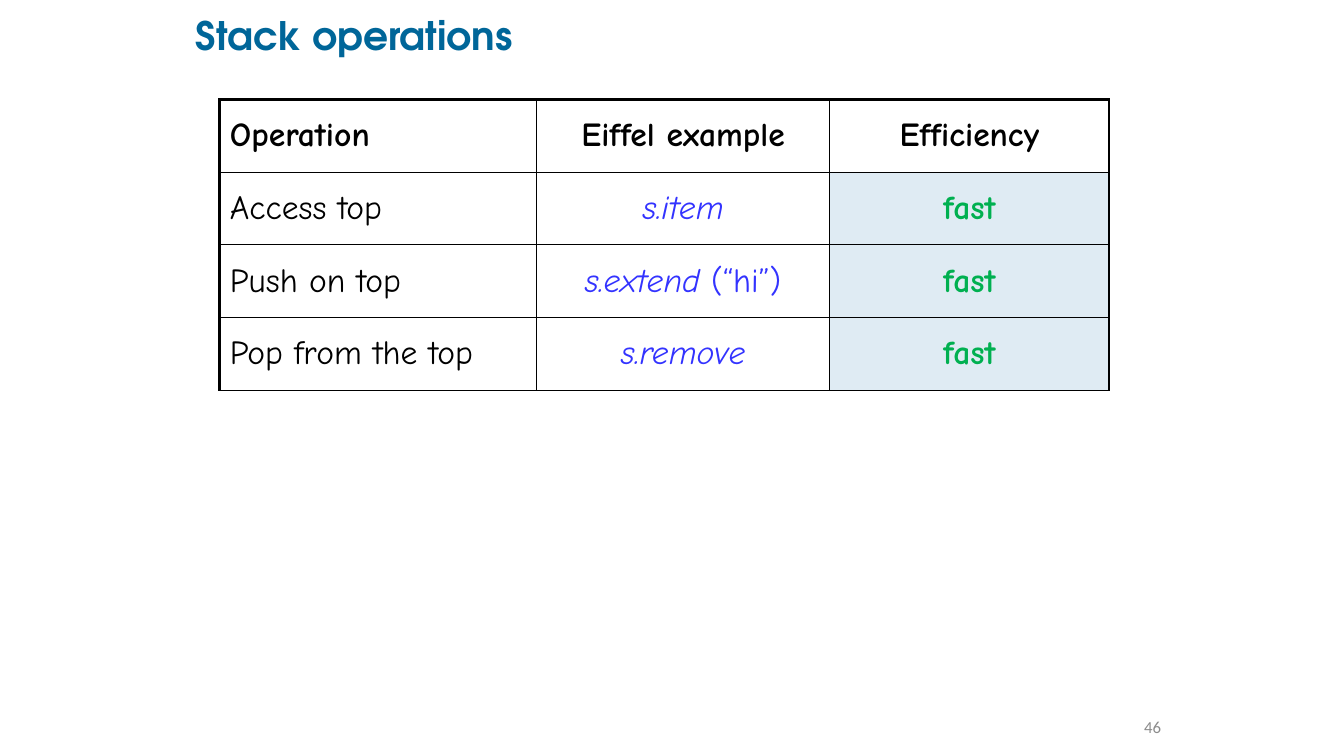
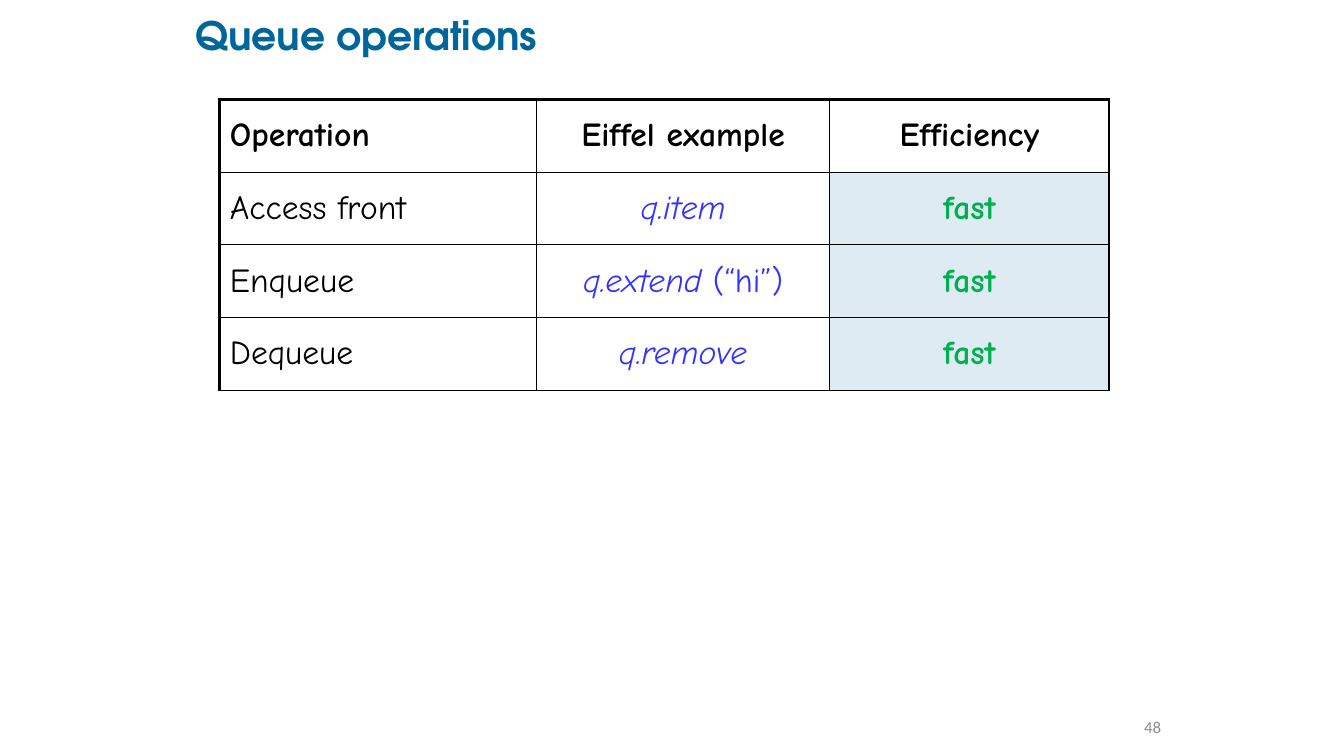
from lxml import etree
from pptx import Presentation
from pptx.dml.color import RGBColor
from pptx.enum.text import MSO_ANCHOR, PP_ALIGN
from pptx.oxml.ns import qn
from pptx.util import Cm, Pt

MIDDLE = MSO_ANCHOR.MIDDLE
LEFT, CENTER, RIGHT = PP_ALIGN.LEFT, PP_ALIGN.CENTER, PP_ALIGN.RIGHT

TITLE_FONT, TABLE_FONT, NUMBER_FONT = "TeX Gyre Adventor", "Comic Neue", "Calibri"
BLACK, WHITE, TITLE_BLUE, GREY = "000000", "FFFFFF", "006699", "8C8C8C"
CODE_BLUE, FAST_GREEN, PALE_BLUE = "3333FF", "00B050", "DFEBF3"

# Boxes in cm: left, top, width, height
TITLE_BOX = (4.93, 0.33, 22.07, 1.22)
TABLE_BOX = (5.54, 2.51, 22.41, 7.32)
NUMBER_BOX = (27.99, 17.6, 1.52, 1.45)
COL_WIDTHS = (7.98, 7.39, 7.04)
THICK, THIN = 2.25, 1

HEADER = ("Operation", "Eiffel example", "Efficiency")
# Title, page number, rows of (operation, feature call, argument)
SLIDES = (
    ("Stack operations", "46", (
        ("Access top", "s.item", ""),
        ("Push on top", "s.extend ", "(“hi”)"),
        ("Pop from the top", "s.remove", ""))),
    ("Queue operations", "48", (
        ("Access front", "q.item", ""),
        ("Enqueue", "q.extend ", "(“hi”)"),
        ("Dequeue", "q.remove", ""))),
)


def rgb(color):
    return RGBColor.from_string(color)


def add_run(p, text, font, size, color, bold=False, italic=False):
    r = p.add_run()
    r.text = text
    r.font.name, r.font.size = font, Pt(size)
    r.font.bold, r.font.italic = bold, italic
    r.font.color.rgb = rgb(color)


def add_text(slide, box, inset, align):
    """Add a text box centred vertically and return its paragraph."""
    tf = slide.shapes.add_textbox(*map(Cm, box)).text_frame
    tf.word_wrap = True
    tf.vertical_anchor = MIDDLE
    tf.margin_left = tf.margin_right = tf.margin_top = tf.margin_bottom = Cm(inset)
    p = tf.paragraphs[0]
    p.alignment = align
    return p


def add_title(slide, box, text):
    p = add_text(slide, box, 0, LEFT)
    p.line_spacing = 0.9
    add_run(p, text, TITLE_FONT, 28, TITLE_BLUE, bold=True)


def add_page_number(slide, box, number):
    p = add_text(slide, box, 0.25, RIGHT)
    add_run(p, number, NUMBER_FONT, 12, GREY)


def set_borders(cell, **widths):
    """Draw black borders; the sides come in schema order L, R, T, B."""
    tc_pr = cell._tc.get_or_add_tcPr()
    for i, (side, width) in enumerate(widths.items()):
        ln = etree.Element(qn("a:ln" + side), w=str(Pt(width)))
        fill = etree.SubElement(ln, qn("a:solidFill"))
        etree.SubElement(fill, qn("a:srgbClr"), val=BLACK)
        tc_pr.insert(i, ln)


def cell_runs(row, col, entry):
    """Return the runs of a cell as (text, color, bold, italic)."""
    if row == 0:
        return [(HEADER[col], BLACK, True, False)]
    operation, call, argument = entry
    if col == 0:
        return [(operation, BLACK, False, False)]
    if col == 2:
        return [("fast", FAST_GREEN, True, False)]
    runs = [(call, CODE_BLUE, False, True)]
    if argument:
        runs.append((argument, CODE_BLUE, False, False))
    return runs


def add_operations_table(slide, box, operations):
    entries = (HEADER,) + operations
    n_rows, n_cols = len(entries), len(COL_WIDTHS)
    table = slide.shapes.add_table(n_rows, n_cols, *map(Cm, box)).table
    table.first_row = table.horz_banding = False
    for column, width in zip(table.columns, COL_WIDTHS):
        column.width = Cm(width)
    for row, entry in enumerate(entries):
        table.rows[row].height = Cm(box[3] / n_rows)
        for col in range(n_cols):
            cell = table.cell(row, col)
            cell.vertical_anchor = MIDDLE
            cell.fill.solid()
            shaded = row > 0 and col == n_cols - 1
            cell.fill.fore_color.rgb = rgb(PALE_BLUE if shaded else WHITE)
            set_borders(cell,
                        L=THICK if col == 0 else THIN,
                        R=THICK if col == n_cols - 1 else THIN,
                        T=THICK if row == 0 else THIN,
                        B=THIN)
            p = cell.text_frame.paragraphs[0]
            p.alignment = LEFT if col == 0 else CENTER
            for text, color, bold, italic in cell_runs(row, col, entry):
                add_run(p, text, TABLE_FONT, 24, color, bold, italic)


def add_operations_slide(prs, title, number, operations):
    slide = prs.slides.add_slide(prs.slide_layouts[6])
    add_title(slide, TITLE_BOX, title)
    add_operations_table(slide, TABLE_BOX, operations)
    add_page_number(slide, NUMBER_BOX, number)


def main():
    prs = Presentation()
    prs.slide_width, prs.slide_height = Cm(33.87), Cm(19.05)
    for title, number, operations in SLIDES:
        add_operations_slide(prs, title, number, operations)
    prs.save("out.pptx")


if __name__ == "__main__":
    main()
